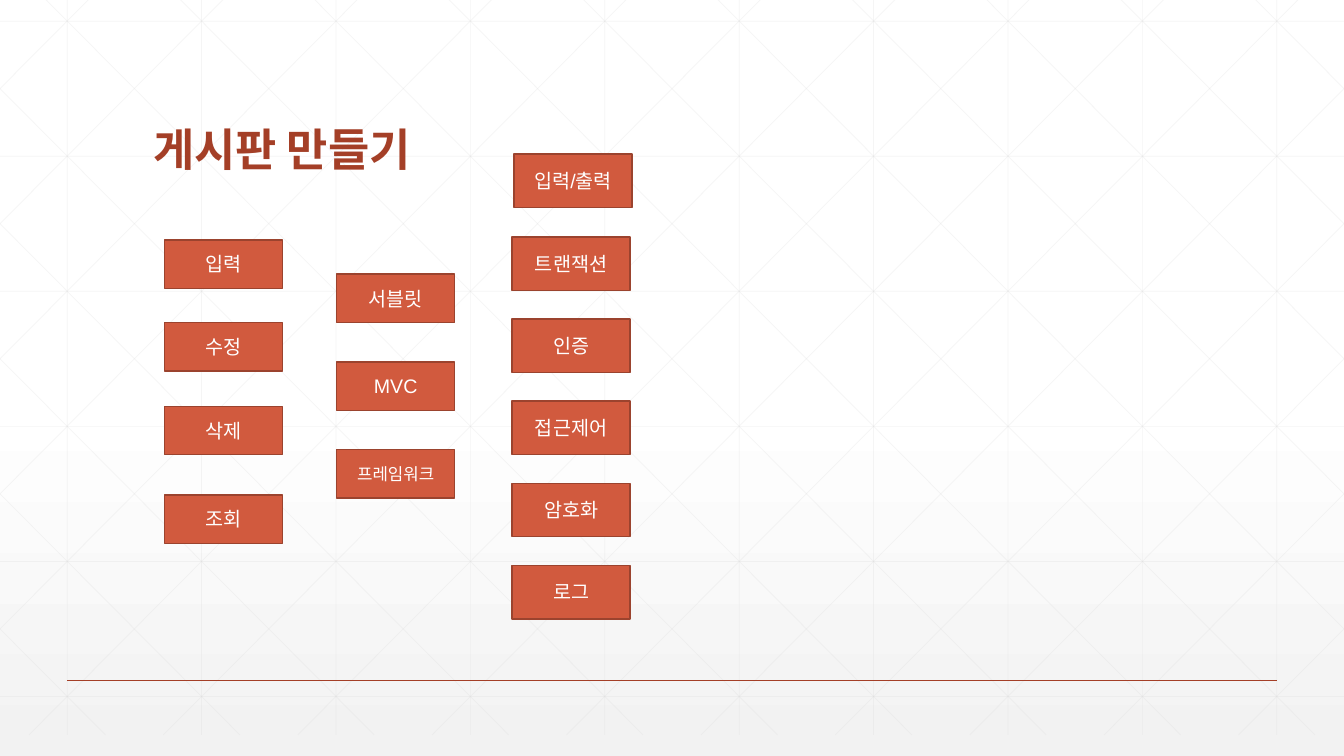
from lxml import etree
from pptx import Presentation, util as u
from pptx.dml.color import RGBColor
from pptx.enum import shapes, text
from pptx.oxml.ns import qn

W, H = 13.33, 7.5
COLORS = {"white": "FFFFFF", "shade": "F2F2F2", "grid": "D9D9D9",
          "accent": "A43F27", "box": "D15A3E", "edge": "9B432E"}
CJK = "Noto Sans CJK KR"


def rgb(name):
    return RGBColor.from_string(COLORS[name])


def add_line(s, x1, y1, x2, y2, color, width, opacity=None):
    ln = s.shapes.add_connector(shapes.MSO_CONNECTOR.STRAIGHT,
                                *map(u.Inches, (x1, y1, x2, y2)))
    ln.line.color.rgb = rgb(color)
    ln.line.width = u.Pt(width)
    sp_pr = ln._element.spPr
    if opacity:
        clr = sp_pr.find(".//" + qn("a:srgbClr"))
        etree.SubElement(clr, qn("a:alpha")).set("val", str(opacity * 1000))
    etree.SubElement(sp_pr, qn("a:effectLst"))


def set_text(sp, words, size, color, font, bold=False):
    tf = sp.text_frame
    tf.word_wrap = True
    tf.text = words
    r = tf.paragraphs[0].runs[0]
    r.font.size, r.font.bold, r.font.name = u.Pt(size), bold, font
    r.font.color.rgb = rgb(color)
    etree.SubElement(r.font._element, qn("a:ea")).set("typeface", CJK)
    return tf


def background(s):
    fill = s.background.fill
    fill.gradient()
    fill.gradient_angle = 270
    for stop, color, pos in zip(fill.gradient_stops, ("white", "shade"), (0.53, 1)):
        stop.color.rgb = rgb(color)
        stop.position = pos


def lattice(s, top, bottom):
    style = ("grid", 0.5, 25)
    step = W / 10
    # Upright and level lines
    for i in range(10):
        x = step * (i + 0.5)
        add_line(s, x, top, x, bottom, *style)
    for i in range(6):
        y = 0.21 + 1.34 * i
        add_line(s, 0, y, W, y, *style)
    # Diagonals, cut at the slide's sides, each with its mirror image
    run = 7.46
    slope = (bottom - top) / run
    for i in range(-5, 10):
        x = 0.25 + step * i
        x1, x2 = max(x, 0), min(x + run, W)
        y1, y2 = top + (x1 - x) * slope, top + (x2 - x) * slope
        add_line(s, x1, y1, x2, y2, *style)
        add_line(s, W - x1, y1, W - x2, y2, *style)


def title(s, x, y, w, h, words):
    sp = s.shapes.add_textbox(*map(u.Inches, (x, y, w, h)))
    tf = set_text(sp, words, 32, "accent", CJK, True)
    tf.vertical_anchor = text.MSO_ANCHOR.BOTTOM
    tf.paragraphs[0].line_spacing = 0.9


def box_column(s, x, tops, h, labels):
    for y, label in zip(tops, labels):
        sp = s.shapes.add_shape(shapes.MSO_SHAPE.RECTANGLE,
                                *map(u.Inches, (x, y, 1.17, h)))
        sp.shadow.inherit = False
        sp.fill.solid()
        sp.fill.fore_color.rgb = rgb("box")
        sp.line.color.rgb = rgb("edge")
        sp.line.width = u.Pt(1)
        tf = set_text(sp, label, 12 if len(label) == 5 and "/" not in label else 14,
                      "white", "Arial")
        tf.vertical_anchor = text.MSO_ANCHOR.MIDDLE
        tf.paragraphs[0].alignment = text.PP_ALIGN.CENTER


def main():
    prs = Presentation()
    prs.slide_width, prs.slide_height = u.Inches(W), u.Inches(H)
    s = prs.slides.add_slide(prs.slide_layouts[6])

    # Backdrop and footer rule
    background(s)
    lattice(s, -0.21, 7.29)
    add_line(s, W / 20, 0.9 * H, W * 19 / 20, 0.9 * H, "accent", 1)

    title(s, 1.42, 0.55, 10.5, 1.25, "게시판 만들기")

    # Board functions, technologies, common services
    box_column(s, 1.63, (2.38, 3.2, 4.03, 4.91), 0.48, ("입력", "수정", "삭제", "조회"))
    box_column(s, 3.34, [2.72 + 0.87 * i for i in range(3)], 0.48,
               ("서블릿", "MVC", "프레임워크"))
    box_column(s, 5.1, [1.53], 0.53, ["입력/출력"])
    box_column(s, 5.08, [2.35 + 0.815 * i for i in range(5)], 0.53,
               ("트랜잭션", "인증", "접근제어", "암호화", "로그"))
    prs.save("out.pptx")


if __name__ == "__main__":
    main()
